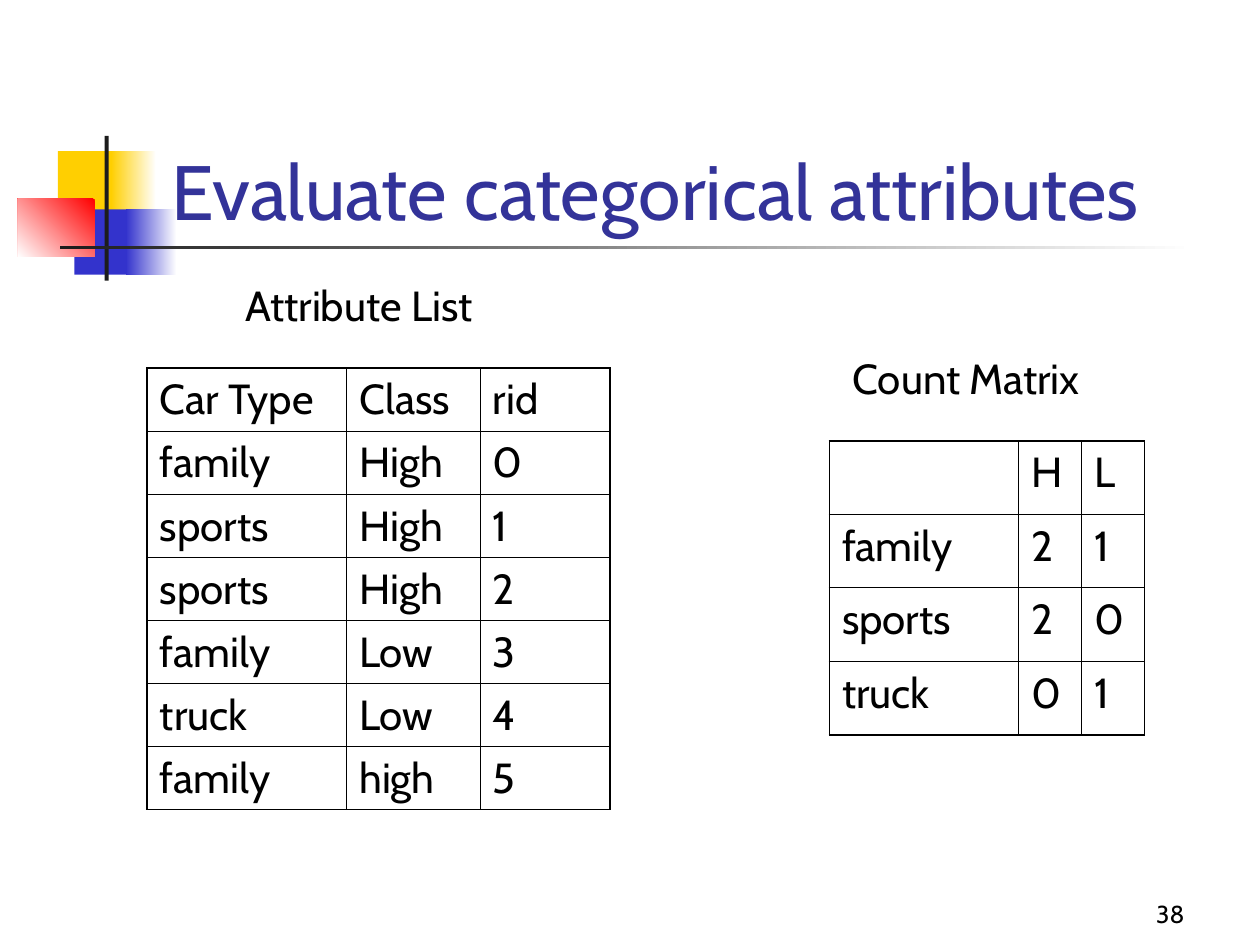
from lxml import etree
from pptx import Presentation
from pptx.dml.color import RGBColor
from pptx.enum import shapes, text
from pptx.oxml import ns
from pptx.util import Cm, Pt

COLORS = {
    "yellow": "FFCF01", "blue": "3333CC", "red": "FF0000", "white": "FFFFFF",
    "dark": "1C1C1C", "title": "333399", "ink": "000000",
}
ATTRIBUTE_LIST = [
    ("Car Type", "Class", "rid"),
    ("family", "High", "0"),
    ("sports", "High", "1"),
    ("sports", "High", "2"),
    ("family", "Low", "3"),
    ("truck", "Low", "4"),
    ("family", "high", "5"),
]
COUNT_MATRIX = [
    ("", "H", "L"),
    ("family", "2", "1"),
    ("sports", "2", "0"),
    ("truck", "0", "1"),
]


class SlideBuilder:
    font_name = "Cabin"
    outer_line = 1.08
    inner_line = 0.45

    def __init__(self, deck):
        self.page = deck.slides.add_slide(deck.slide_layouts[6])

    def color(self, name):
        return RGBColor.from_string(COLORS[name])

    def bar(self, left, top, width, height, start, end=None, angle=180):
        bar = self.page.shapes.add_shape(
            shapes.MSO_SHAPE.RECTANGLE, Cm(left), Cm(top), Cm(width), Cm(height))
        bar.shadow.inherit = False
        bar.line.fill.background()
        if end is None:
            bar.fill.solid()
            bar.fill.fore_color.rgb = self.color(start)
            return
        bar.fill.gradient()
        bar.fill.gradient_angle = angle
        for stop, name, position in zip(bar.fill.gradient_stops, (start, end), (0, 1)):
            stop.color.rgb = self.color(name)
            stop.position = position

    def add_words(self, frame, words, size, color="ink", align=text.PP_ALIGN.LEFT):
        para = frame.paragraphs[0]
        para.alignment = align
        span = para.add_run()
        span.text = words
        span.font.name = self.font_name
        span.font.size = Pt(size)
        span.font.color.rgb = self.color(color)

    def label(self, left, top, width, height, words, size=24, color="ink",
              align=text.PP_ALIGN.LEFT, anchor=text.MSO_ANCHOR.TOP, wrap=False):
        box = self.page.shapes.add_textbox(Cm(left), Cm(top), Cm(width), Cm(height))
        frame = box.text_frame
        frame.word_wrap = wrap
        frame.vertical_anchor = anchor
        if not wrap:
            frame.auto_size = text.MSO_AUTO_SIZE.SHAPE_TO_FIT_TEXT
        self.add_words(frame, words, size, color, align)

    def border(self, cell, side, width):
        properties = cell._tc.get_or_add_tcPr()
        line = etree.SubElement(properties, ns.qn(f"a:ln{side}"), w=str(Pt(width)))
        fill = etree.SubElement(line, ns.qn("a:solidFill"))
        etree.SubElement(fill, ns.qn("a:srgbClr"), val=COLORS["ink"])

    def table(self, left, top, widths, row_height, rows):
        last_row, last_column = len(rows) - 1, len(widths) - 1
        table = self.page.shapes.add_table(
            len(rows), len(widths), Cm(left), Cm(top),
            Cm(sum(widths)), Cm(row_height * len(rows))).table
        table.first_row = table.horz_banding = False
        for column, width in zip(table.columns, widths):
            column.width = Cm(width)
        for r, values in enumerate(rows):
            table.rows[r].height = Cm(row_height)
            for c, value in enumerate(values):
                cell = table.cell(r, c)
                edges = {"L": c == 0, "R": c == last_column,
                         "T": r == 0, "B": r == last_row}
                for side, is_outer in edges.items():
                    self.border(cell, side, self.outer_line if is_outer else self.inner_line)
                cell.fill.background()
                if value:
                    self.add_words(cell.text_frame, value, 24)


def main():
    deck = Presentation()
    deck.slide_width, deck.slide_height = Cm(25.4), Cm(19.05)
    slide = SlideBuilder(deck)

    slide.bar(1.17, 3.05, 1.22, 1.32, "yellow")
    slide.bar(2.24, 3.05, 0.91, 1.32, "white", "yellow")
    slide.bar(1.5, 4.22, 1.17, 1.32, "blue")
    slide.bar(2.54, 4.22, 1.02, 1.32, "white", "blue")
    slide.bar(0.36, 4.01, 1.55, 1.17, "red", "white", angle=225)
    slide.bar(2.11, 2.74, 0.08, 2.92, "dark")
    slide.bar(1.22, 4.95, 22.86, 0.08, "white", "dark")

    slide.label(3.2, 1.7, 21.64, 3.18, "Evaluate categorical attributes", size=44,
                color="title", anchor=text.MSO_ANCHOR.BOTTOM, wrap=True)
    slide.table(2.97, 7.42, (4.02, 2.69, 2.62), 1.27, ATTRIBUTE_LIST)
    slide.table(16.72, 8.89, (3.81, 1.27, 1.27), 1.48, COUNT_MATRIX)
    slide.label(16.94, 6.98, 5.69, 1.27, "Count Matrix")
    slide.label(4.7, 5.51, 5.64, 1.27, "Attribute List")
    slide.label(18.85, 17.58, 5.28, 1.27, "38", size=14, align=text.PP_ALIGN.RIGHT,
                anchor=text.MSO_ANCHOR.BOTTOM, wrap=True)
    deck.save("out.pptx")


if __name__ == "__main__":
    main()
